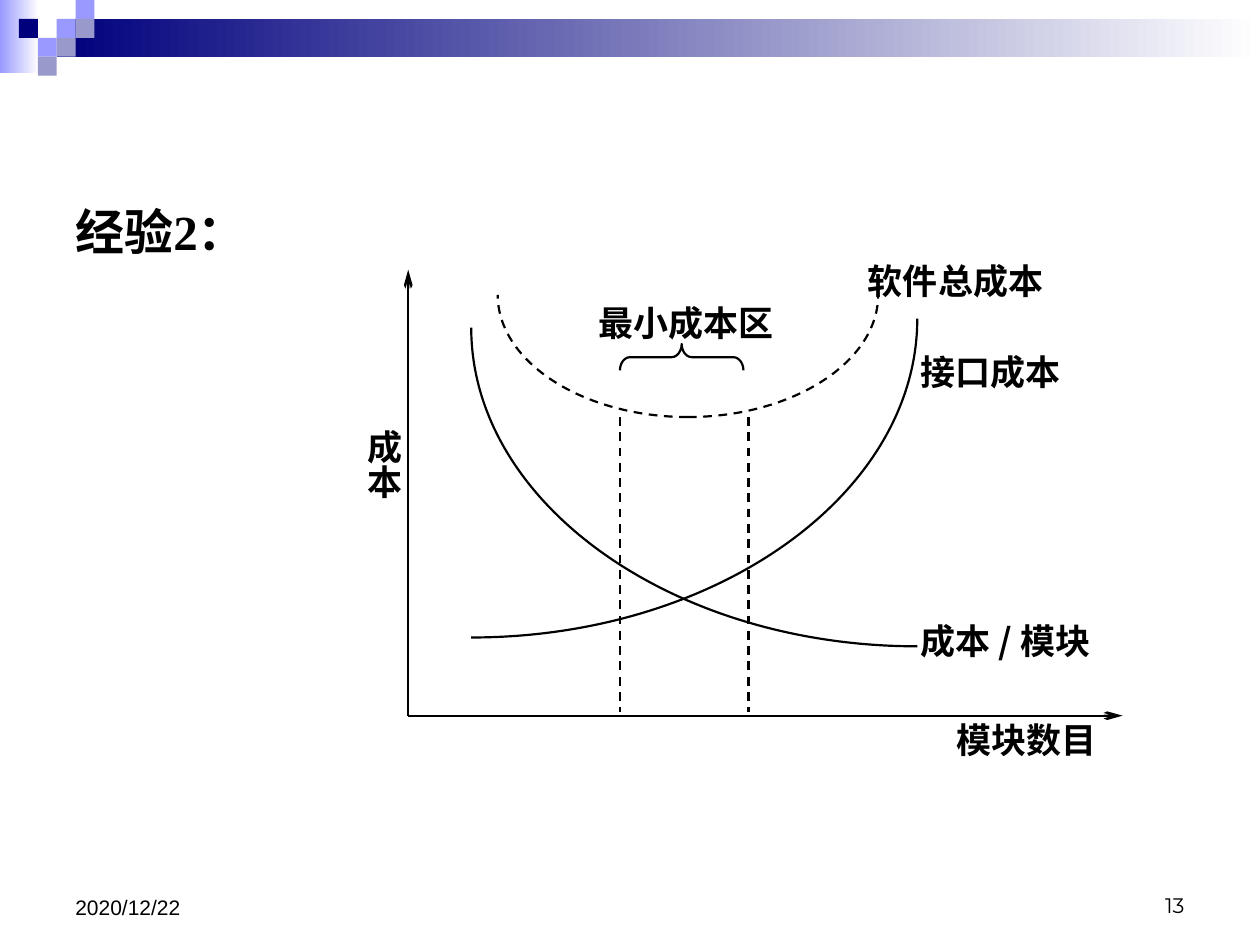
from lxml.etree import SubElement
from pptx import Presentation
from pptx.dml.color import RGBColor
from pptx.enum.dml import MSO_LINE
from pptx.enum.shapes import MSO_CONNECTOR, MSO_SHAPE
from pptx.enum.text import MSO_ANCHOR, MSO_AUTO_SIZE, PP_ALIGN
from pptx.oxml.ns import qn
from pptx.util import Pt

PX = 9144  # 100 px to the inch
CELL = 15  # side of a mosaic square
ROUNDNESS = 0.55  # Bezier handle length of a quarter ellipse
COLORS = {
    "ink": "000000",
    "paper": "FFFFFF",
    "navy": "00007D",
    "violet": "9999FF",
    "grey": "9999CC",
}
LATIN, CJK = "Times New Roman", "Noto Sans CJK SC"


def color(name):
    return RGBColor.from_string(COLORS[name])


def write(box, text, size=20, font=LATIN, bold=True, align=PP_ALIGN.LEFT,
          spacing=None, anchor=MSO_ANCHOR.TOP):
    frame = box.text_frame
    frame.word_wrap = True
    frame.auto_size = MSO_AUTO_SIZE.NONE
    frame.vertical_anchor = anchor
    para = frame.paragraphs[0]
    para.alignment = align
    para.space_before = Pt(0)
    if spacing:
        para.line_spacing = spacing
    span = para.add_run()
    span.text = text
    span.font.size = Pt(size)
    span.font.bold = bold
    span.font.name = font
    span.font.color.rgb = color("ink")
    SubElement(span.font._element, qn("a:ea")).set("typeface", CJK)
    return para


class SlideBuilder:
    def __init__(self, page):
        self.page = page
        self.line_width = Pt(1.25)

    def block(self, x, y, width, height, fill, fade_to=None):
        box = self.page.shapes.add_shape(
            MSO_SHAPE.RECTANGLE, x * PX, y * PX, width * PX, height * PX)
        box.shadow.inherit = False
        box.line.fill.background()
        if fade_to:
            box.fill.gradient()
            box.fill.gradient_angle = 0
            for stop, name in zip(box.fill.gradient_stops, (fill, fade_to)):
                stop.color.rgb = color(name)
        else:
            box.fill.solid()
            box.fill.fore_color.rgb = color(fill)

    def label(self, text, x, y, width, height, **style):
        box = self.page.shapes.add_textbox(x * PX, y * PX, width * PX, height * PX)
        write(box, text, **style)
        return box

    def vertical_label(self, text, x, y, width, height):
        box = self.label(text, x, y, width, height, align=PP_ALIGN.CENTER)
        frame = box.text_frame
        frame.margin_left = frame.margin_right = 6 * PX
        frame.margin_top = frame.margin_bottom = 5 * PX
        frame._txBody.bodyPr.set("vert", "eaVert")

    def body(self, text, x, y, width, height, **style):
        box = self.page.placeholders[1]
        box.left, box.top, box.width, box.height = (
            n * PX for n in (x, y, width, height))
        properties = write(box, text, **style)._p.get_or_add_pPr()
        properties.set("marL", str(38 * PX))
        properties.set("indent", str(-38 * PX))
        SubElement(properties, qn("a:buNone"))

    def pen(self, line, dashed=False):
        line.color.rgb = color("ink")
        line.width = self.line_width
        if dashed:
            line.dash_style = MSO_LINE.DASH

    def line(self, x1, y1, x2, y2, dashed=False, arrow=False):
        line = self.page.shapes.add_connector(
            MSO_CONNECTOR.STRAIGHT, x1 * PX, y1 * PX, x2 * PX, y2 * PX)
        self.pen(line.line, dashed)
        properties = line._element.spPr
        if arrow:
            head = SubElement(properties.find(qn("a:ln")), qn("a:tailEnd"))
            for key, value in (("type", "arrow"), ("w", "sm"), ("len", "lg")):
                head.set(key, value)
        SubElement(properties, qn("a:effectLst"))

    def curve(self, x1, bottom, x2, top, dashed=False):
        """Draw a quarter ellipse, level at (x1, bottom) and upright at (x2, top)."""
        handles = [(x1 + ROUNDNESS * (x2 - x1), bottom),
                   (x2, top + ROUNDNESS * (bottom - top))]
        points = [(round(x * PX), round(y * PX)) for x, y in (*handles, (x2, top))]
        builder = self.page.shapes.build_freeform(x1 * PX, bottom * PX)
        builder.add_line_segments(points, close=False)
        outline = builder.convert_to_shape()
        track = next(outline._element.iter(qn("a:path")))
        bezier = SubElement(track, qn("a:cubicBezTo"))
        for segment in track.findall(qn("a:lnTo")):
            bezier.append(segment[0])
            track.remove(segment)
        outline.shadow.inherit = False
        outline.fill.background()
        self.pen(outline.line, dashed)

    def brace(self, x, y, width, height):
        """Draw a brace that opens downwards in the given area."""
        left, top = x + (width - height) / 2, y + (height - width) / 2
        brace = self.page.shapes.add_shape(
            MSO_SHAPE.LEFT_BRACE, round(left * PX), round(top * PX),
            height * PX, width * PX)
        brace.rotation = 90
        brace.adjustments[0] = 0.38
        brace.shadow.inherit = False
        brace.fill.background()
        self.pen(brace.line)


def main():
    deck = Presentation()
    deck.slide_width, deck.slide_height = 1000 * PX, 750 * PX
    page = deck.slides.add_slide(deck.slide_layouts[1])
    title = page.shapes.title._element
    title.getparent().remove(title)
    slide = SlideBuilder(page)

    # Header band and mosaic
    slide.block(0, 0, 31, 58, "violet", fade_to="paper")
    slide.block(45, 15, 955, 30, "navy", fade_to="paper")
    mosaic = [(3, 1, "violet"), (4, 0, "violet"), (4, 1, "grey"), (2, 2, "violet"),
              (1, 1, "navy"), (3, 2, "grey"), (2, 3, "grey")]
    for column, row, fill in mosaic:
        slide.block(column * CELL, row * CELL, CELL, CELL, fill)

    # Footer and heading
    slide.label("13", 717, 683, 233, 50, size=12, font="Montserrat", bold=False,
                align=PP_ALIGN.RIGHT, anchor=MSO_ANCHOR.BOTTOM)
    slide.label("2020/12/22", 50, 683, 233, 52, size=12, font="Arial", bold=False,
                anchor=MSO_ANCHOR.BOTTOM)
    slide.body("经验2：", 50, 155, 899, 551, size=28)

    # Axes
    slide.line(324, 568, 324, 214, arrow=True)
    slide.line(324, 568, 891, 568, arrow=True)
    slide.vertical_label("成本", 256, 331, 71, 98)

    # Cost curves and the minimum-cost zone
    slide.curve(374, 506, 728, 253)
    slide.curve(728, 513, 374, 260)
    for edge in (697, 395):
        slide.curve(546, 331, edge, 234, dashed=True)
    for x in (492, 594):
        slide.line(x, 331, x, 565, dashed=True)
    slide.brace(492, 273, 98, 21)

    justified = PP_ALIGN.JUSTIFY
    slide.label("成本 / 模块", 721, 487, 184, 59, font=CJK, align=justified)
    slide.label("最小成本区", 459, 228, 171, 59, align=PP_ALIGN.CENTER, spacing=1.2)
    slide.label("接口成本", 721, 273, 144, 59, align=justified)
    slide.label("软件总成本", 679, 194, 171, 59, align=justified, spacing=1.2)
    slide.label("模块数目", 749, 565, 144, 59, align=justified)

    deck.save("out.pptx")


if __name__ == "__main__":
    main()
